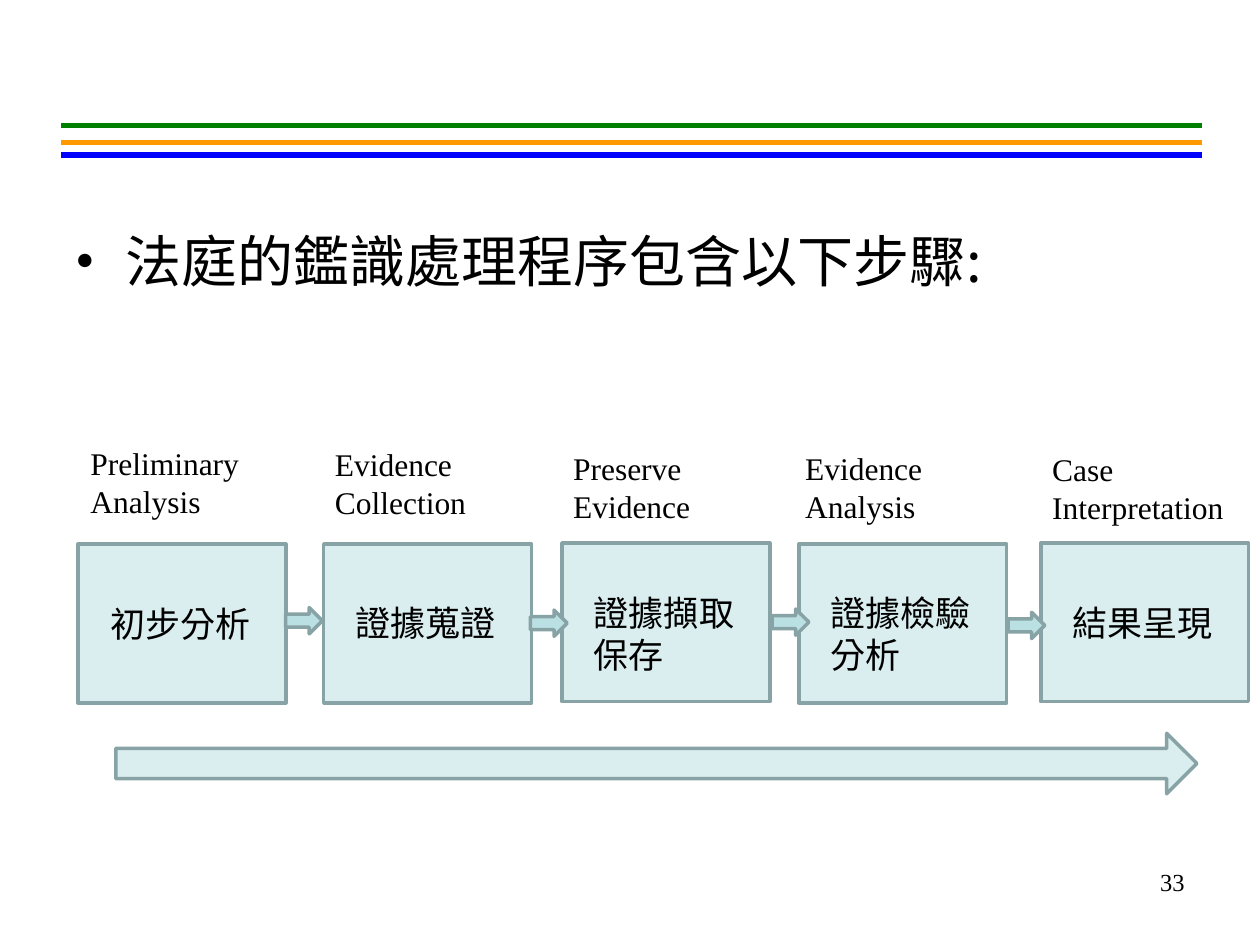
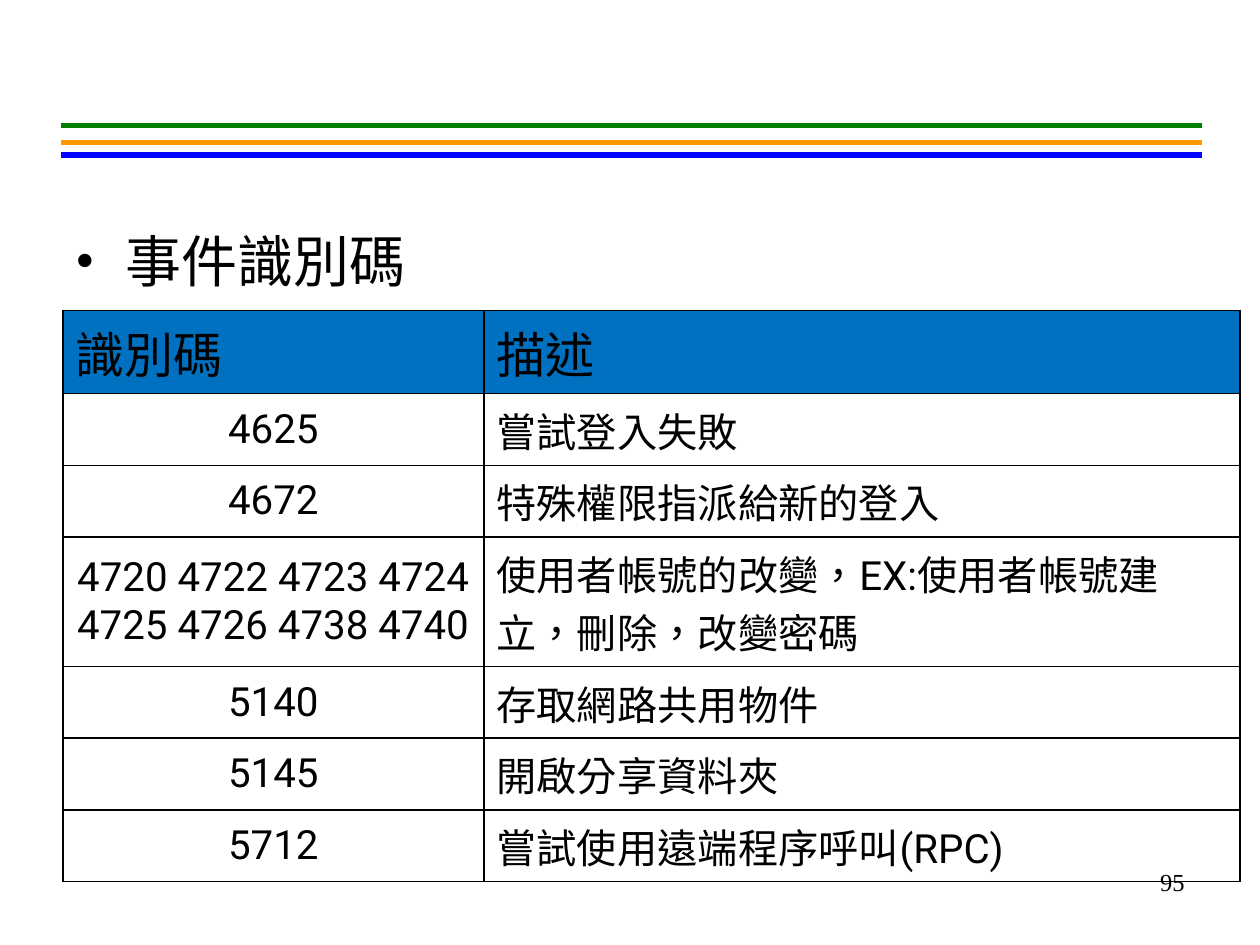
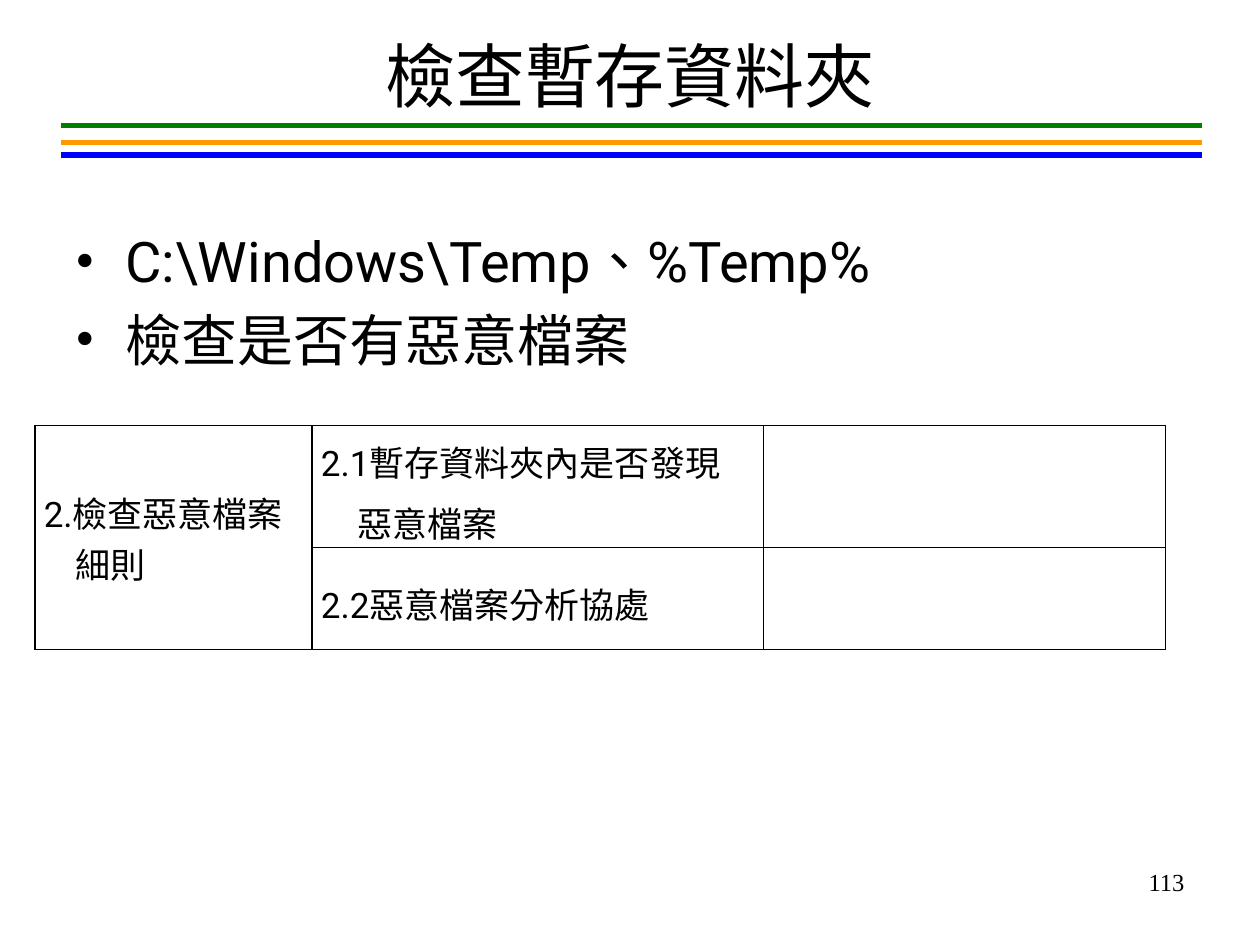
import lxml.etree
import pptx
import pptx.dml.color
import pptx.enum.lang
import pptx.enum.shapes
import pptx.enum.text
import pptx.oxml.ns
import pptx.util

Pt = pptx.util.Pt
qn = pptx.oxml.ns.qn
Shape = pptx.enum.shapes.MSO_SHAPE
Align = pptx.enum.text.PP_ALIGN
Anchor = pptx.enum.text.MSO_ANCHOR

COLORS = {
    "ink": "000000", "green": "008000", "orange": "FF9900", "blue": "0000FF",
    "box": "DAEDEF", "arrow": "BBE0E3", "edge": "88A3A5", "header": "0070C0",
}
CJK, SANS, SERIF, TABLE_FACE = "Noto Sans CJK SC", "Roboto", "Times New Roman", "Calibri"
RULES = [("orange", 81.4), ("green", 71.6), ("blue", 88.6)]
BODY_INDENT = 28.4


def rgb(name):
    return pptx.dml.color.RGBColor.from_string(COLORS[name])


def set_face(font, face):
    """Set the Latin face and the shared East Asian face."""
    font.name = face
    font.language_id = pptx.enum.lang.MSO_LANGUAGE_ID.TRADITIONAL_CHINESE
    lxml.etree.SubElement(font._rPr, qn("a:ea"), typeface=CJK)


def hang(paragraph, margin, first):
    properties = paragraph._p.get_or_add_pPr()
    properties.set("marL", str(Pt(margin)))
    properties.set("indent", str(Pt(first)))
    return properties


def write(paragraph, runs, size, align=None):
    """Fill a paragraph with (text, face) runs; a lone run is styled on the paragraph."""
    paragraph._p.get_or_add_pPr().set("hangingPunct", "0")
    paragraph.alignment = align
    paragraph.font.size = Pt(size)
    paragraph.font.color.rgb = rgb("ink")
    for text, face in runs:
        run = paragraph.add_run()
        run.text = text
        set_face(paragraph.font if len(runs) == 1 else run.font, face)


def add_border(cell):
    properties = cell._tc.get_or_add_tcPr()
    for side in ("a:lnL", "a:lnR", "a:lnT", "a:lnB"):
        edge = lxml.etree.SubElement(properties, qn(side), w=str(Pt(1)))
        fill = lxml.etree.SubElement(edge, qn("a:solidFill"))
        lxml.etree.SubElement(fill, qn("a:srgbClr"), val=COLORS["ink"])


class Deck:
    def __init__(self):
        self.presentation = pptx.Presentation()
        self.presentation.slide_width = Pt(720)
        self.presentation.slide_height = Pt(540)
        self.slide = None

    def new_slide(self, number, bullets, face, title=None):
        self.slide = self.presentation.slides.add_slide(self.presentation.slide_layouts[6])
        for color, y in RULES:
            self.rule(color, y)
        if title:
            frame = self.text((36, -2.2, 648, 90), title, 40, SANS, Align.CENTER)
            frame.vertical_anchor = Anchor.MIDDLE
        self.bullets(bullets, face)
        self.text((516.2, 491.8, 167.8, 37.4), number, 14, SERIF, Align.RIGHT)

    def rule(self, color, y):
        line = self.slide.shapes.add_connector(
            pptx.enum.shapes.MSO_CONNECTOR.STRAIGHT, Pt(687), Pt(y), Pt(35), Pt(y))
        line.line.color.rgb = rgb(color)
        line.line.width = Pt(3)
        lxml.etree.SubElement(line._element.spPr, qn("a:effectLst"))

    def frame(self, box):
        frame = self.slide.shapes.add_textbox(*map(Pt, box)).text_frame
        frame.word_wrap = True
        return frame

    def text(self, box, text, size, face, align=None):
        frame = self.frame(box)
        write(frame.paragraphs[0], [(text, face)], size, align)
        return frame

    def bullets(self, items, face):
        frame = self.frame((36, 126, 648, 356.4))
        for index, item in enumerate(items):
            paragraph = frame.add_paragraph() if index else frame.paragraphs[0]
            if index:
                paragraph.space_before = Pt(6.4)
            properties = hang(paragraph, BODY_INDENT, -BODY_INDENT)
            lxml.etree.SubElement(properties, qn("a:buFont"), typeface=SERIF)
            lxml.etree.SubElement(properties, qn("a:buChar"), char="•")
            write(paragraph, [(item, face)], 32, Align.JUSTIFY)

    def shape(self, kind, box, fill):
        shape = self.slide.shapes.add_shape(kind, *map(Pt, box))
        shape.shadow.inherit = False
        shape.fill.solid()
        shape.fill.fore_color.rgb = rgb(fill)
        shape.line.color.rgb = rgb("edge")
        shape.line.width = Pt(2)

    def table(self, left, top, widths, heights):
        table = self.slide.shapes.add_table(
            len(heights), len(widths), Pt(left), Pt(top),
            Pt(sum(widths)), Pt(sum(heights))).table
        table.first_row = table.horz_banding = False
        for column, width in zip(table.columns, widths):
            column.width = Pt(width)
        for row, height in zip(table.rows, heights):
            row.height = Pt(height)
        for cell in table.iter_cells():
            add_border(cell)
            cell.fill.background()
            cell.vertical_anchor = Anchor.MIDDLE
        return table


def forensic_steps(deck):
    deck.new_slide("33", ["法庭的鑑識處理程序包含以下步驟:"], CJK)
    # box left and top, name and its top, label and its place, arrow to the next step
    steps = [
        (44.6, 311, "初步分析", 340.6, "Preliminary Analysis", 44.6, 250.3, (163.2, 347.2)),
        (185, 311, "證據蒐證", 340.2, "Evidence Collection", 184.3, 250.6, (303.1, 348.6)),
        (321.1, 310.3, "證據擷取保存", 334.6, "Preserve Evidence", 320.4, 252.9, (441.2, 348)),
        (456.5, 311, "證據檢驗分析", 334.6, "Evidence Analysis", 453, 252.9, (576, 349.9)),
        (594.7, 310.3, "結果呈現", 340.2, "Case Interpretation", 594.2, 253.6, None),
    ]
    for left, top, name, name_top, label, label_left, label_top, _ in steps:
        deck.shape(Shape.RECTANGLE, (left, top, 118.8, 90.7), "box")
        deck.text((left + 11.2, name_top, 96.5, 31.7), name, 20, CJK)
        deck.text((label_left, label_top, 118.8, 51), label, 18, SERIF)
    deck.shape(Shape.RIGHT_ARROW, (66.2, 419, 617.8, 34.6), "box")
    for *_, arrow in steps[:-1]:
        deck.shape(Shape.RIGHT_ARROW, (*arrow, 21, 15), "arrow")


def event_ids(deck):
    deck.new_slide("95", ["事件識別碼"], SANS)
    events = [
        ("識別碼", "描述"),
        ("4625", "嘗試登入失敗"),
        ("4672", "特殊權限指派給新的登入"),
        ("4720 4722 4723 4724 4725 4726 4738 4740",
         "使用者帳號的改變，EX:使用者帳號建立，刪除，改變密碼"),
        ("5140", "存取網路共用物件"),
        ("5145", "開啟分享資料夾"),
        ("5712", "嘗試使用遠端程序呼叫(RPC)"),
    ]
    table = deck.table(36, 177.3, [240.5, 432], [47.6, 41, 41, 74, 41, 41, 41])
    for row, event in enumerate(events):
        for column, text in enumerate(event):
            cell = table.cell(row, column)
            centred = row > 0 and column == 0
            write(cell.text_frame.paragraphs[0], [(text, SANS)], 23 if row else 28,
                  Align.CENTER if centred else None)
            if row == 0:
                cell.vertical_anchor = Anchor.TOP
                cell.fill.solid()
                cell.fill.fore_color.rgb = rgb("header")


def temp_folder(deck):
    deck.new_slide("113", ["C:\\Windows\\Temp、%Temp%", "檢查是否有惡意檔案"], SANS,
                   title="檢查暫存資料夾")
    table = deck.table(20, 243.2, [158.4, 257.8, 229.7], [69.7, 58.2])
    for cell in table.iter_cells():
        cell.margin_left = cell.margin_right = Pt(5)
        cell.margin_top = cell.margin_bottom = 0
    table.cell(0, 0).merge(table.cell(1, 0))

    rule_name = table.cell(0, 0).text_frame
    hang(rule_name.paragraphs[0], 13.7, -13.7)
    write(rule_name.paragraphs[0], [("2.", SANS), ("檢查惡意檔案", TABLE_FACE)], 20, Align.JUSTIFY)
    rule_end = rule_name.add_paragraph()
    hang(rule_end, 18, 0)
    write(rule_end, [("細則", TABLE_FACE)], 20, Align.JUSTIFY)

    checks = [("2.1", "暫存資料夾內是否發現惡意檔案"), ("2.2", "惡意檔案分析協處")]
    for row, (number, check) in enumerate(checks):
        paragraph = table.cell(row, 1).text_frame.paragraphs[0]
        hang(paragraph, 20.9, -20.9)
        paragraph.line_spacing = 1.2
        write(paragraph, [(number, SANS), (check, TABLE_FACE)], 20)


def main():
    deck = Deck()
    forensic_steps(deck)
    event_ids(deck)
    temp_folder(deck)
    deck.presentation.save("out.pptx")


if __name__ == "__main__":
    main()
